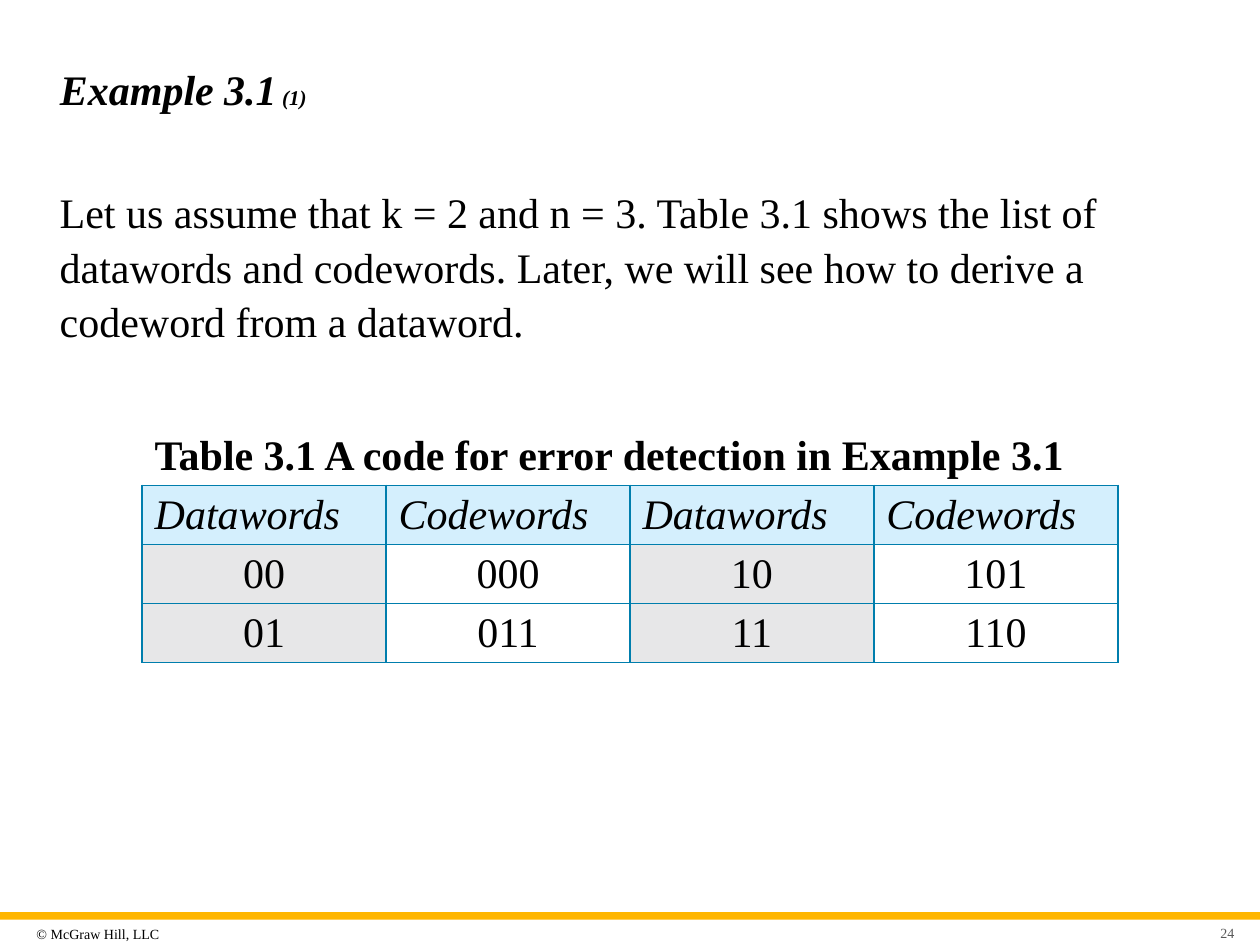
from dataclasses import dataclass

from lxml.etree import SubElement
from pptx import Presentation
from pptx.dml.color import RGBColor
from pptx.enum.shapes import MSO_SHAPE
from pptx.enum.text import MSO_ANCHOR as Anchor, MSO_AUTO_SIZE, PP_ALIGN as Align
from pptx.oxml.ns import qn
from pptx.util import Pt

FONT = "Times New Roman"
BLACK, GREY, GOLD = "000000", "595959", "FFB600"
HEADER_BLUE, DATAWORD_GREY, BORDER = "D4EFFD", "E7E7E8", "007EAD"
TABLE_LEFT, TABLE_WIDTH = 81.2, 557.6
ROW_HEIGHT = 33.7


@dataclass
class Caption:
    text: str
    box: tuple[float, float, float, float]
    size: float = 24
    color: str = BLACK
    bold: bool = False
    align: Align = Align.LEFT
    anchor: Anchor = Anchor.TOP
    margins: tuple[float, float, float, float] = (7.2, 3.6, 7.2, 3.6)
    spacing: float = 1.0


CAPTIONS = [
    Caption("© McGraw Hill, LLC", (17.2, 525, 97.2, 17), size=8,
            anchor=Anchor.MIDDLE, margins=(3.6,) * 4),
    Caption("Let us assume that k = 2 and n = 3. Table 3.1 shows the list of datawords "
            "and codewords. Later, we will see how to derive a codeword from a dataword.",
            (27, 100.8, 666, 98.6), spacing=1.08),
    Caption("Table 3.1 A code for error detection in Example 3.1",
            (TABLE_LEFT, 239, TABLE_WIDTH, 36), bold=True, spacing=1.08),
    Caption("24", (681, 526.3, 28, 13), size=8, color=GREY, align=Align.RIGHT,
            anchor=Anchor.MIDDLE, margins=(7.2, 3.6, 3.6, 3.6)),
]
CODE_TABLE = [
    ["Datawords", "Codewords", "Datawords", "Codewords"],
    ["00", "000", "10", "101"],
    ["01", "011", "11", "110"],
]


def rgb(value: str) -> RGBColor:
    return RGBColor.from_string(value)


def add_run(paragraph, text: str, color: str = BLACK, **formats) -> None:
    run = paragraph.add_run()
    run.text = text
    run.font.name = FONT
    run.font.color.rgb = rgb(color)
    for name, value in formats.items():
        setattr(run.font, name, value)


def format_frame(frame, anchor: Anchor, margins: tuple) -> None:
    formats = {"word_wrap": True, "auto_size": MSO_AUTO_SIZE.NONE, "vertical_anchor": anchor}
    sides = ("margin_left", "margin_top", "margin_right", "margin_bottom")
    formats.update(zip(sides, map(Pt, margins)))
    for name, value in formats.items():
        setattr(frame, name, value)


def add_caption(slide, caption: Caption) -> None:
    frame = slide.shapes.add_textbox(*map(Pt, caption.box)).text_frame
    format_frame(frame, caption.anchor, caption.margins)
    paragraph = frame.paragraphs[0]
    paragraph.alignment = caption.align
    paragraph.line_spacing = caption.spacing
    add_run(paragraph, caption.text, caption.color, size=Pt(caption.size), bold=caption.bold)


def fill_title(title) -> None:
    places = dict(zip(("left", "top", "width", "height"), map(Pt, (27, 23.8, 666, 53.3))))
    for name, value in places.items():
        setattr(title, name, value)
    format_frame(title.text_frame, Anchor.MIDDLE, (7.2, 3.6, 7.2, 3.6))
    paragraph = title.text_frame.paragraphs[0]
    paragraph.alignment = Align.LEFT
    for text, size in (("Example 3.1", 24), (" (1)", 12)):
        add_run(paragraph, text, size=Pt(size), bold=True, italic=True)


def add_gold_rule(slide) -> None:
    rule = slide.shapes.add_shape(MSO_SHAPE.RECTANGLE, Pt(0), Pt(521.3), Pt(720), Pt(4.3))
    rule.shadow.inherit = False
    rule.fill.solid()
    rule.fill.fore_color.rgb = rgb(GOLD)
    rule.line.fill.background()


def set_borders(cell) -> None:
    """Put the four lines before the fill, as the schema orders them."""
    properties = cell._tc.get_or_add_tcPr()
    for position, side in enumerate(("lnL", "lnR", "lnT", "lnB")):
        line = SubElement(properties, qn(f"a:{side}"), w=str(Pt(1)))
        fill = SubElement(line, qn("a:solidFill"))
        SubElement(fill, qn("a:srgbClr"), val=BORDER)
        properties.insert(position, line)


def add_code_table(slide) -> None:
    rows, columns = len(CODE_TABLE), len(CODE_TABLE[0])
    table = slide.shapes.add_table(rows, columns, Pt(TABLE_LEFT), Pt(277.4),
                                   Pt(TABLE_WIDTH), Pt(rows * ROW_HEIGHT)).table
    table.horz_banding = False
    for r, words in enumerate(CODE_TABLE):
        table.rows[r].height = Pt(ROW_HEIGHT)
        is_header = r == 0
        for c, word in enumerate(words):
            cell = table.cell(r, c)
            if is_header or c % 2 == 0:
                cell.fill.solid()
                cell.fill.fore_color.rgb = rgb(HEADER_BLUE if is_header else DATAWORD_GREY)
            else:
                cell.fill.background()
            set_borders(cell)
            paragraph = cell.text_frame.paragraphs[0]
            paragraph.alignment = Align.LEFT if is_header else Align.CENTER
            add_run(paragraph, word, size=Pt(24), bold=False, italic=is_header)


def main() -> None:
    deck = Presentation()
    deck.slide_width, deck.slide_height = Pt(720), Pt(540)
    slide = deck.slides.add_slide(deck.slide_layouts.get_by_name("Title Only"))
    add_gold_rule(slide)
    fill_title(slide.shapes.title)
    for caption in CAPTIONS:
        add_caption(slide, caption)
    add_code_table(slide)
    deck.save("out.pptx")


if __name__ == "__main__":
    main()
